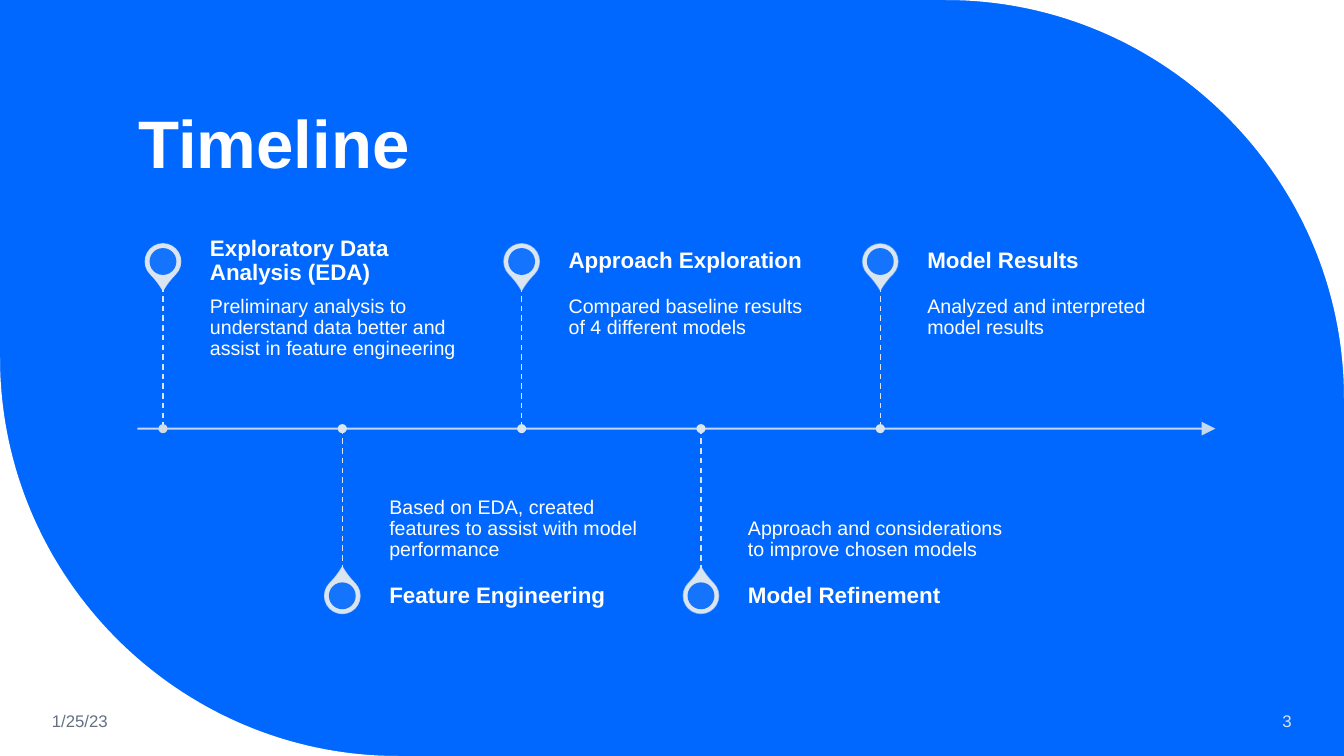
from pptx import Presentation
from pptx.dml.color import RGBColor
from pptx.enum.dml import MSO_LINE
from pptx.enum.shapes import MSO_CONNECTOR, MSO_SHAPE
from pptx.enum.text import MSO_ANCHOR, PP_ALIGN
from pptx.oxml.ns import qn
from pptx.oxml.xmlchemy import OxmlElement
from pptx.util import Inches, Pt

BLUE = RGBColor(0x00, 0x68, 0xFF)
WHITE = RGBColor(0xFF, 0xFF, 0xFF)
MIST = RGBColor(0xDA, 0xE5, 0xEF)
DIM_MIST = RGBColor(0xD0, 0xDB, 0xE4)
SLATE = RGBColor(0x63, 0x71, 0x83)

STRAIGHT = MSO_CONNECTOR.STRAIGHT
TEARDROP, OVAL = MSO_SHAPE.TEAR, MSO_SHAPE.OVAL
DASH = MSO_LINE.DASH
TOP, MIDDLE, BOTTOM = MSO_ANCHOR.TOP, MSO_ANCHOR.MIDDLE, MSO_ANCHOR.BOTTOM
LEFT, RIGHT = PP_ALIGN.LEFT, PP_ALIGN.RIGHT

COLUMNS, ROWS = 160, 90
CELL = Inches(7.5) // ROWS

AXIS = 51.03
FIRST_MARKER, MARKER_STEP = 19.4, 21.35
STEM = 16.95
PIN_REACH = 19.9
LABEL_GAP, LABEL_WIDTH, HEADING_HEIGHT = 5.6, 30.5, 6
CORNER_RADIUS = 47.4
ARC_HANDLE = 0.55

MILESTONES = [
    ("Exploratory Data Analysis (EDA)",
     "Preliminary analysis to understand data better and assist in feature engineering"),
    ("Feature Engineering",
     "Based on EDA, created features to assist with model performance"),
    ("Approach Exploration", "Compared baseline results of 4 different models"),
    ("Model Refinement", "Approach and considerations to improve chosen models"),
    ("Model Results", "Analyzed and interpreted model results"),
]


def grid(*cells):
    return [round(cell * CELL) for cell in cells]


def set_opacity(parent, percent):
    alpha = OxmlElement("a:alpha")
    alpha.set("val", str(percent * 1000))
    parent.find(".//" + qn("a:srgbClr")).append(alpha)


def write(frame, text, size=14, color=WHITE, bold=False, align=LEFT,
          anchor=TOP, insets=(0.1, 0.05, 0.1, 0.05), spacing=1.0):
    frame.word_wrap = True
    frame.vertical_anchor = anchor
    (frame.margin_left, frame.margin_top,
     frame.margin_right, frame.margin_bottom) = map(Inches, insets)
    paragraph = frame.paragraphs[0]
    paragraph.alignment = align
    paragraph.line_spacing = spacing
    run = paragraph.add_run()
    run.text = text
    run.font.name = "Arial"
    run.font.size = Pt(size)
    run.font.bold = bold
    run.font.color.rgb = color


class TimelineSlide:
    def __init__(self, presentation):
        self.slide = presentation.slides.add_slide(presentation.slide_layouts[6])
        self.shapes = self.slide.shapes
        background = self.slide.background.fill
        background.solid()
        background.fore_color.rgb = BLUE

    def text(self, left, top, width, height, words, **style):
        box = self.shapes.add_textbox(*grid(left, top, width, height))
        write(box.text_frame, words, **style)

    def paint(self, shape, color):
        shape.shadow.inherit = False
        shape.fill.solid()
        shape.fill.fore_color.rgb = color
        shape.line.fill.background()

    def centred(self, kind, x, y, size, color):
        shape = self.shapes.add_shape(
            kind, *grid(x - size / 2, y - size / 2, size, size))
        self.paint(shape, color)
        return shape

    def corner(self, tip, arc_start, arc_end):
        outline = self.shapes.build_freeform(*grid(*tip))
        outline.add_line_segments([grid(*arc_start), grid(*arc_end)], close=True)
        shape = outline.convert_to_shape()
        self.paint(shape, WHITE)
        corner, start, end = shape.element.spPr.findall(".//" + qn("a:pt"))
        curve = OxmlElement("a:cubicBezTo")
        for anchor in (start, end):
            handle = OxmlElement("a:pt")
            for axis in ("x", "y"):
                origin = int(anchor.get(axis))
                reach = int(corner.get(axis)) - origin
                handle.set(axis, str(round(origin + ARC_HANDLE * reach)))
            curve.append(handle)
        chord = end.getparent()
        chord.addprevious(curve)
        chord.getparent().remove(chord)
        curve.append(end)

    def line(self, x1, y1, x2, y2, width=1):
        connector = self.shapes.add_connector(STRAIGHT, *grid(x1, y1, x2, y2))
        connector.line.color.rgb = MIST
        connector.line.width = Pt(width)
        connector.element.spPr.append(OxmlElement("a:effectLst"))
        return connector

    def axis(self, start, end):
        arrow = self.line(start, AXIS, end, AXIS, width=1.5)
        outline = arrow.element.spPr.find(qn("a:ln"))
        set_opacity(outline, 90)
        head = OxmlElement("a:tailEnd")
        head.set("type", "triangle")
        head.set("w", "lg")
        head.set("len", "lg")
        outline.append(head)

    def pin(self, x, y, rotation, opacity):
        drop = self.centred(TEARDROP, x, y, 4.2, MIST)
        drop.adjustments[0] = 1.15
        drop.rotation = rotation
        drop.line.color.rgb = MIST
        drop.line.width = Pt(1)
        set_opacity(drop.element.spPr.find(qn("a:ln")), opacity)
        hole = self.centred(OVAL, x, y, 3.2, BLUE)
        set_opacity(hole.element.spPr, 90)

    def milestone(self, index, heading, detail):
        x = FIRST_MARKER + index * MARKER_STEP
        label = x + LABEL_GAP
        above = index % 2 == 0
        side = -1 if above else 1
        stem_end = AXIS + side * STEM
        self.pin(x, AXIS + side * PIN_REACH, 135 if above else 315, 90 - 10 * index)
        self.text(label, stem_end if above else AXIS, LABEL_WIDTH, STEM, detail,
                  anchor=TOP if above else BOTTOM, spacing=0.9,
                  insets=(0, 0.1, 0.1, 0.15) if above else (0, 0.15, 0, 0.1))
        self.text(label, stem_end - HEADING_HEIGHT if above else stem_end,
                  LABEL_WIDTH, HEADING_HEIGHT, heading, size=16, bold=True,
                  anchor=MIDDLE, spacing=0.9, insets=(0, 0, 0.11, 0))
        self.line(x, min(AXIS, stem_end), x, max(AXIS, stem_end)).line.dash_style = DASH
        self.centred(OVAL, x, AXIS, 1.08, MIST if index else DIM_MIST)


def main():
    presentation = Presentation()
    presentation.slide_width = COLUMNS * CELL
    presentation.slide_height = ROWS * CELL
    timeline = TimelineSlide(presentation)
    timeline.corner((COLUMNS, 0), (COLUMNS - CORNER_RADIUS, 0), (COLUMNS, CORNER_RADIUS))
    timeline.corner((0, ROWS), (CORNER_RADIUS, ROWS), (0, ROWS - CORNER_RADIUS))
    timeline.text(15.3, 5, 128.3, 17.4, "Timeline", size=48, bold=True,
                  anchor=BOTTOM, spacing=0.9)
    timeline.text(5, 83.4, 22.3, 4.8, "1/25/23", size=12, color=SLATE, anchor=MIDDLE)
    timeline.text(133.2, 83.4, 21.75, 4.8, "3", size=12, color=MIST,
                  align=RIGHT, anchor=MIDDLE)
    timeline.axis(16.35, 144.7)
    for index, (heading, detail) in enumerate(MILESTONES):
        timeline.milestone(index, heading, detail)
    presentation.save("out.pptx")


if __name__ == "__main__":
    main()
